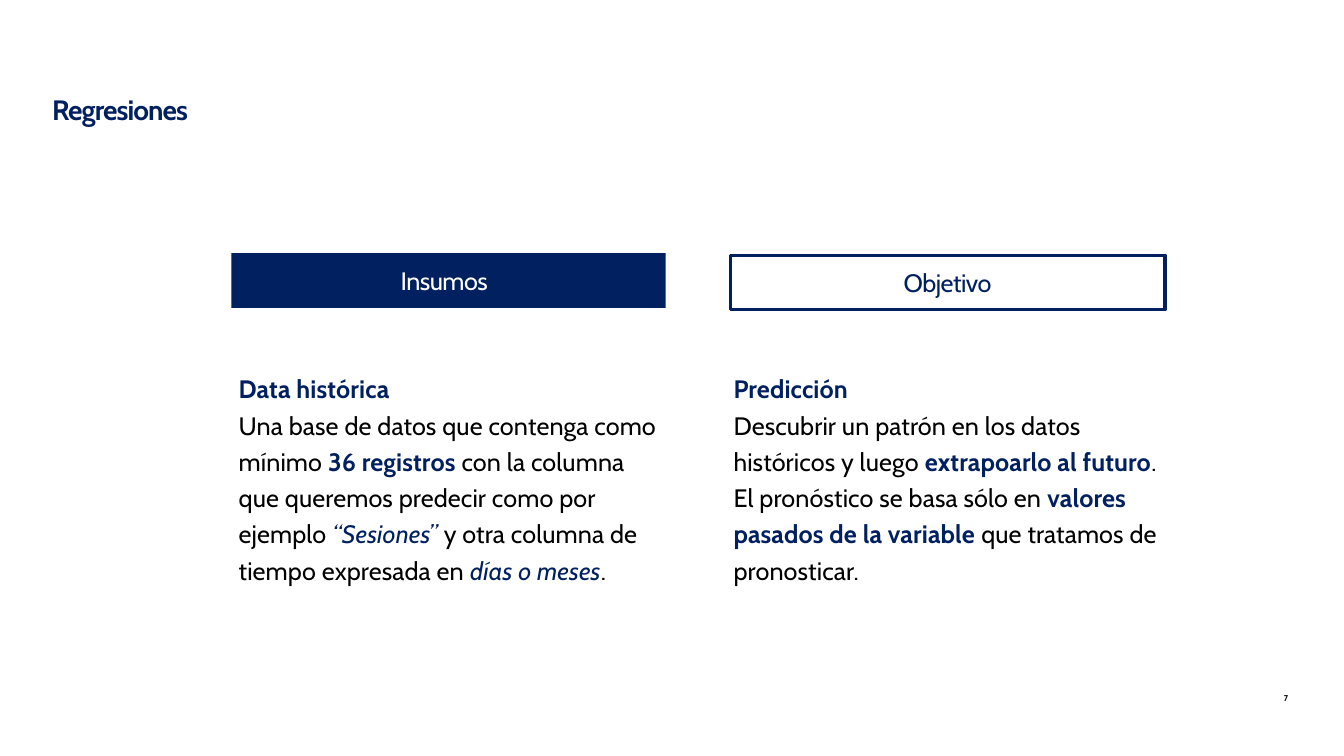
from dataclasses import dataclass

from pptx import Presentation
from pptx.dml.color import RGBColor
from pptx.enum.shapes import MSO_SHAPE as Shape
from pptx.enum.text import MSO_ANCHOR as Anchor, MSO_AUTO_SIZE as AutoSize, PP_ALIGN as Align
from pptx.util import Pt


@dataclass(frozen=True)
class Theme:
    font: str = "Cabin"
    navy: RGBColor = RGBColor(0x00, 0x20, 0x60)
    black: RGBColor = RGBColor(0, 0, 0)
    white: RGBColor = RGBColor(255, 255, 255)
    title: int = 40
    body: int = 36
    number: int = 12


THEME = Theme()
PLAIN, BOLD, ITALIC = "plain", "bold", "italic"

INPUTS = ("Data histórica", [
    ("Una base de datos que contenga como mínimo ", PLAIN),
    ("36 registros ", BOLD),
    ("con la columna que queremos predecir como por ejemplo ", PLAIN),
    ("“Sesiones” ", ITALIC),
    ("y otra columna de tiempo expresada en ", PLAIN),
    ("días o meses", ITALIC),
    (".", PLAIN),
])
GOAL = ("Predicción", [
    ("Descubrir un patrón en los datos históricos y luego ", PLAIN),
    ("extrapoarlo al futuro", BOLD),
    (". El pronóstico se basa sólo en ", PLAIN),
    ("valores pasados de la variable ", BOLD),
    ("que tratamos de pronosticar.", PLAIN),
])


def add_rect(slide, box, fill, line=None, line_width=0):
    sp = slide.shapes.add_shape(Shape.RECTANGLE, *map(Pt, box))
    sp.shadow.inherit = False
    sp.fill.solid()
    sp.fill.fore_color.rgb = fill
    if line is None:
        sp.line.fill.background()
    else:
        sp.line.color.rgb = line
        sp.line.width = Pt(line_width)
    return sp


def add_box(slide, box):
    return slide.shapes.add_textbox(*map(Pt, box))


def set_frame(sp, anchor, inset, wrap=True):
    tf = sp.text_frame
    tf.word_wrap = wrap
    tf.vertical_anchor = anchor
    tf.margin_left = tf.margin_right = tf.margin_top = tf.margin_bottom = Pt(inset)
    return tf


def style_paragraph(p, size, align=Align.LEFT, line_spacing=1.0):
    p.alignment = align
    p.line_spacing = line_spacing
    p.font.name = THEME.font
    p.font.size = Pt(size)


def add_run(p, text, color, style=PLAIN, tracking=0):
    """Add a run; tracking is letter spacing in points."""
    r = p.add_run()
    r.text = text
    r.font.color.rgb = color
    r.font.bold = style == BOLD
    r.font.italic = style == ITALIC
    r.font._element.set("spc", str(round(tracking * 100)))


def write_label(sp, text, color):
    p = set_frame(sp, Anchor.MIDDLE, 0).paragraphs[0]
    style_paragraph(p, THEME.body, Align.CENTER)
    add_run(p, text, color, tracking=-0.7)


def add_column_text(slide, left, heading, parts):
    tf = set_frame(add_box(slide, (left, 540, 614, 300)), Anchor.BOTTOM, 4)
    lines = [[(heading, BOLD)], parts]
    for p, runs in zip((tf.paragraphs[0], tf.add_paragraph()), lines):
        style_paragraph(p, THEME.body, line_spacing=1.2)
        for text, style in runs:
            color = THEME.black if style == PLAIN else THEME.navy
            add_run(p, text, color, style, tracking=0.2)


def add_title(slide, text):
    tf = set_frame(add_box(slide, (70.5, 132.5, 796, 52)), Anchor.BOTTOM, 4)
    tf.auto_size = AutoSize.SHAPE_TO_FIT_TEXT
    style_paragraph(tf.paragraphs[0], THEME.title, line_spacing=0.9)
    add_run(tf.paragraphs[0], text, THEME.navy, BOLD, tracking=-1.3)


def add_page_number(slide, text):
    tf = set_frame(add_box(slide, (1821, 988.5, 23.5, 22.5)), Anchor.TOP, 4, wrap=False)
    tf.auto_size = AutoSize.SHAPE_TO_FIT_TEXT
    style_paragraph(tf.paragraphs[0], THEME.number, Align.RIGHT, 0.8)
    add_run(tf.paragraphs[0], text, THEME.black, BOLD)


def main():
    prs = Presentation()
    prs.slide_width, prs.slide_height = Pt(1920.24), Pt(1080)
    slide = prs.slides.add_slide(prs.slide_layouts[6])

    add_page_number(slide, "7")
    add_rect(slide, (330.5, 361.5, 620.5, 78.5), THEME.navy)
    add_rect(slide, (1044, 364.5, 620.5, 78), THEME.white, THEME.navy, 4.5)
    write_label(add_box(slide, (446.5, 361.5, 376.5, 78)), "Insumos", THEME.white)
    goal_label = add_rect(slide, (1279.5, 374.5, 148.5, 58.5), THEME.white, THEME.white, 1)
    write_label(goal_label, "Objetivo", THEME.navy)
    add_column_text(slide, 337, *INPUTS)
    add_title(slide, "Regresiones")
    add_column_text(slide, 1044, *GOAL)

    prs.save("out.pptx")


if __name__ == "__main__":
    main()
